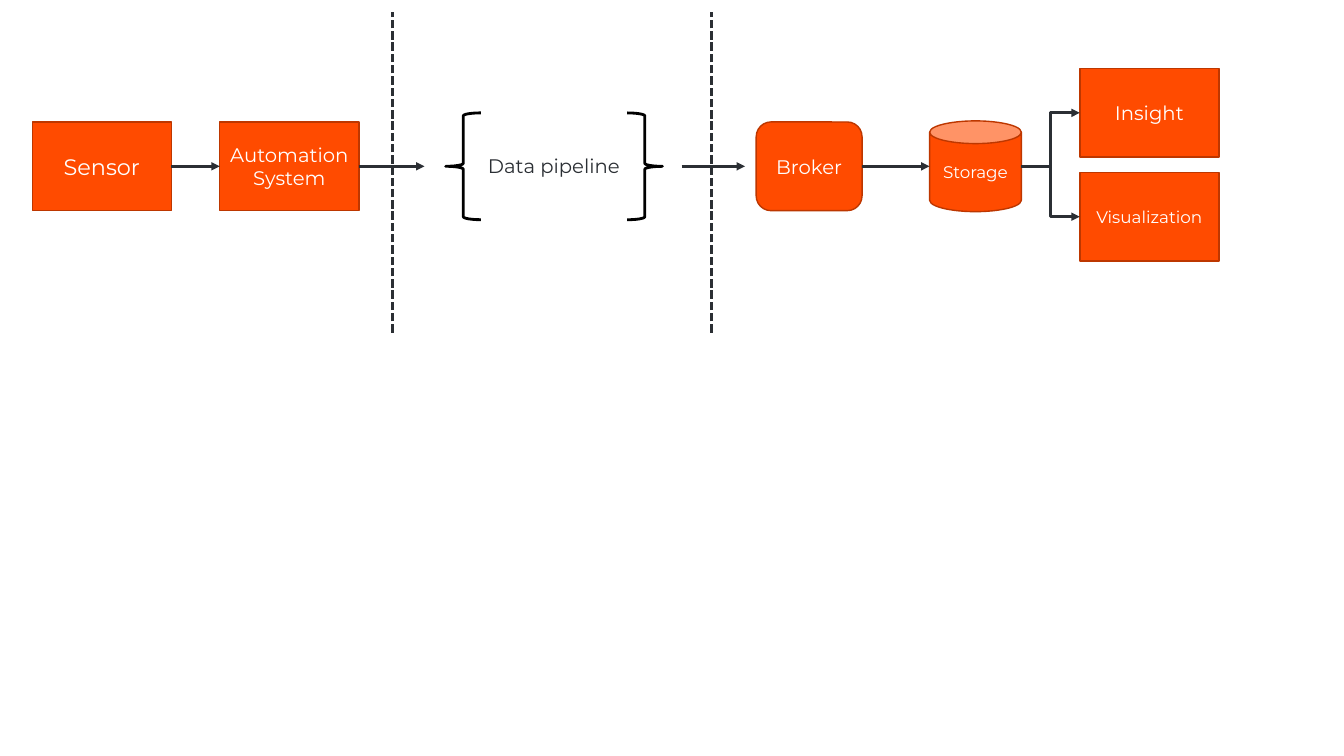
from dataclasses import dataclass

from lxml import etree
from pptx import Presentation
from pptx.dml.color import RGBColor
from pptx.enum.dml import MSO_LINE
from pptx.enum.shapes import MSO_CONNECTOR, MSO_SHAPE
from pptx.enum.text import MSO_ANCHOR, PP_ALIGN
from pptx.oxml.ns import qn
from pptx.util import Inches, Pt

RECT, ROUND = MSO_SHAPE.RECTANGLE, MSO_SHAPE.ROUNDED_RECTANGLE
CAN, BRACE = MSO_SHAPE.CAN, MSO_SHAPE.LEFT_BRACE
LINE, ELBOW = MSO_CONNECTOR.STRAIGHT, MSO_CONNECTOR.ELBOW
DASH = MSO_LINE.SQUARE_DOT
MIDDLE, CENTER, LEFT = MSO_ANCHOR.MIDDLE, PP_ALIGN.CENTER, PP_ALIGN.LEFT
SIDE_L, SIDE_R = 1, 3


@dataclass(frozen=True)
class Theme:
    font: str = "Montserrat"
    fill: RGBColor = RGBColor(0xFF, 0x4B, 0x00)
    edge: RGBColor = RGBColor(0xBD, 0x37, 0x00)
    ink: RGBColor = RGBColor(0x2B, 0x2F, 0x34)
    black: RGBColor = RGBColor(0, 0, 0)
    white: RGBColor = RGBColor(0xFF, 0xFF, 0xFF)
    big: int = 16
    mid: int = 14
    small: int = 12
    thin: int = 1
    bold: int = 2


THEME = Theme()
BOX_W, BOX_H = 1.38, 0.88


def write(shape, text, size=THEME.mid, color=THEME.white, align=CENTER):
    """Put formatted text into a shape."""
    para = shape.text_frame.paragraphs[0]
    para.alignment = align
    run = para.add_run()
    run.text = text
    run.font.name = THEME.font
    run.font.size = Pt(size)
    run.font.color.rgb = color


def node(slide, kind, x, mid, w, h, text, size=THEME.mid):
    """Filled shape, centred on the height mid."""
    shape = slide.shapes.add_shape(
        kind, Inches(x), Inches(mid - h / 2), Inches(w), Inches(h))
    shape.shadow.inherit = False
    shape.fill.solid()
    shape.fill.fore_color.rgb = THEME.fill
    shape.line.color.rgb = THEME.edge
    shape.line.width = Pt(THEME.thin)
    shape.text_frame.word_wrap = True
    shape.text_frame.vertical_anchor = MIDDLE
    write(shape, text, size)
    return shape


def link(slide, x1, y1, x2, y2, kind=LINE, start=None, end=None, dash=None):
    """Arrow, or a plain dashed line when dash is given."""
    line = slide.shapes.add_connector(
        kind, Inches(x1), Inches(y1), Inches(x2), Inches(y2))
    line.line.color.rgb = THEME.ink
    line.line.width = Pt(THEME.bold)
    if start is not None:
        line.begin_connect(start, SIDE_R)
    if end is not None:
        line.end_connect(end, SIDE_L)
    props = line._element.spPr
    if dash is None:
        tail = etree.SubElement(props.find(qn("a:ln")), qn("a:tailEnd"))
        tail.set("type", "triangle")
    else:
        line.line.dash_style = dash
    etree.SubElement(props, qn("a:effectLst"))


def source(slide, x, mid):
    """Sensor and automation system, with the arrow out."""
    step = 1.86
    sensor = node(slide, RECT, x, mid, BOX_W, BOX_H, "Sensor", THEME.big)
    system = node(slide, RECT, x + step, mid, BOX_W, BOX_H,
                  "Automation System")
    link(slide, x + BOX_W, mid, x + step, mid, start=sensor, end=system)
    edge = x + step + BOX_W
    link(slide, edge, mid, edge + 0.65, mid, start=system)


def pipeline(slide, x, mid, w):
    """Label between two braces, with the arrow out."""
    wide, high = 0.35, 1.06
    for left, turn in ((x, 0), (x + w - wide, 180)):
        brace = slide.shapes.add_shape(
            BRACE, Inches(left), Inches(mid - high / 2),
            Inches(wide), Inches(high))
        brace.rotation = turn
        brace.shadow.inherit = False
        brace.fill.background()
        brace.line.color.rgb = THEME.black
        brace.line.width = Pt(THEME.bold)
    label = slide.shapes.add_textbox(
        Inches(x + 0.32), Inches(mid - 0.17), Inches(1.52), Inches(0.34))
    label.text_frame.word_wrap = False
    write(label, "Data pipeline", color=THEME.ink, align=LEFT)
    link(slide, x + w + 0.19, mid, x + w + 0.82, mid)


def sink(slide, x, mid):
    """Broker and storage, branching to the two uses."""
    broker = node(slide, ROUND, x, mid, 1.05, BOX_H, "Broker")
    can_x, can_w, use_x = x + 1.72, 0.91, x + 3.21
    node(slide, CAN, can_x, mid, can_w, 0.9, "Storage", THEME.small)
    link(slide, x + 1.05, mid, can_x, mid, start=broker)
    uses = (("Insight", THEME.mid, -0.53), ("Visualization", THEME.small, 0.5))
    for text, size, shift in uses:
        use = node(slide, RECT, use_x, mid + shift, BOX_W, BOX_H, text, size)
        link(slide, can_x + can_w, mid, use_x, mid + shift,
             kind=ELBOW, end=use)


def main():
    deck = Presentation()
    deck.slide_width, deck.slide_height = Inches(13.33), Inches(7.5)
    slide = deck.slides.add_slide(deck.slide_layouts[6])
    mid = 1.65
    source(slide, 0.32, mid)
    pipeline(slide, 4.42, mid, 2.15)
    sink(slide, 7.5, mid)
    # Dividers between the regions
    for x in (3.89, 7.06):
        link(slide, x, 3.3, x, 0.12, dash=DASH)
    deck.save("out.pptx")


if __name__ == "__main__":
    main()
